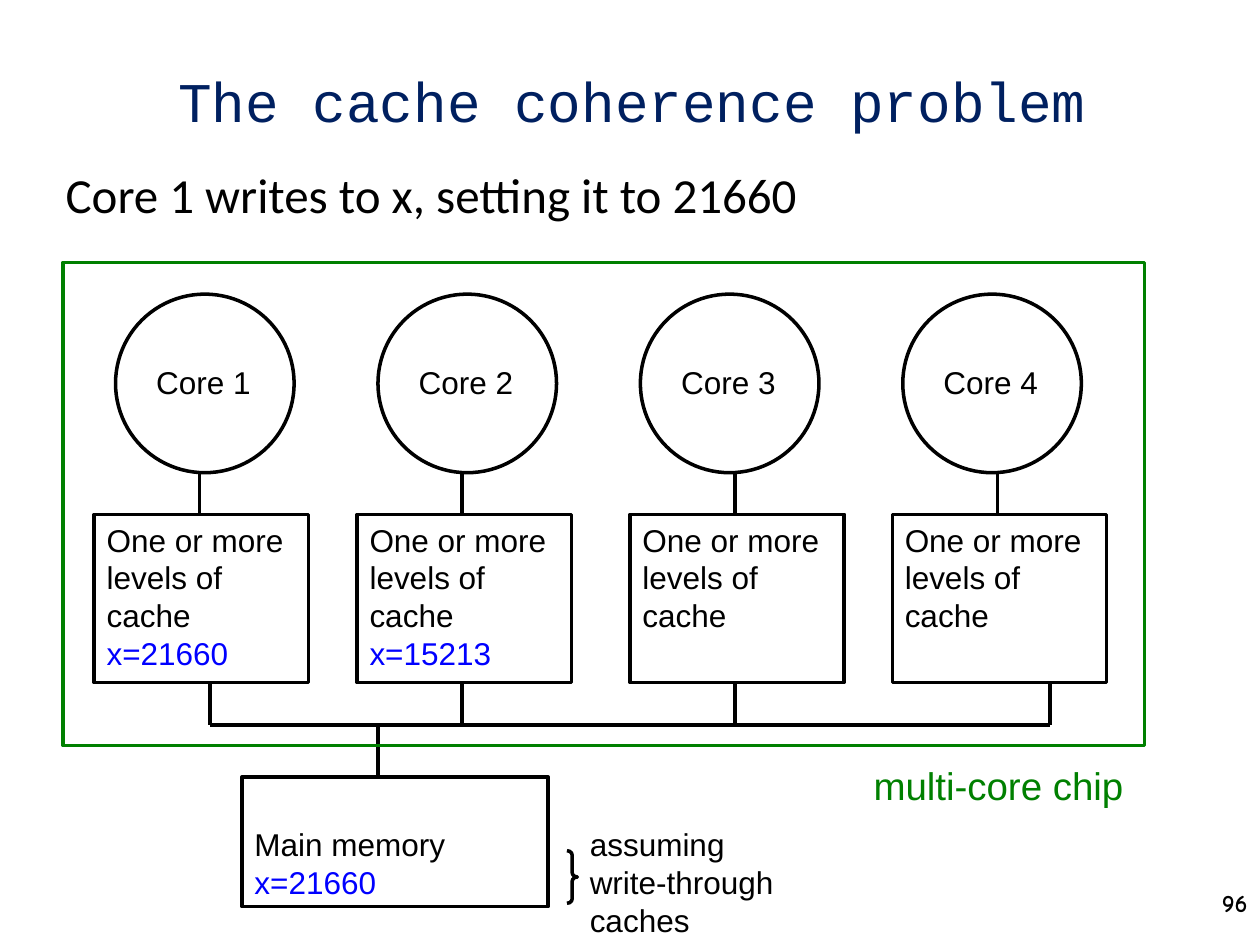
from lxml import etree
from pptx import Presentation
from pptx.dml.color import RGBColor
from pptx.enum.shapes import MSO_CONNECTOR, MSO_SHAPE
from pptx.enum.text import MSO_ANCHOR, PP_ALIGN
from pptx.oxml.ns import qn
from pptx.util import Cm, Pt

BLACK = RGBColor(0, 0, 0)
BLUE = RGBColor(0, 0, 255)
GREEN = RGBColor(0, 128, 0)
NAVY = RGBColor(0, 32, 96)
LEFT, CENTER, RIGHT = PP_ALIGN.LEFT, PP_ALIGN.CENTER, PP_ALIGN.RIGHT
TOP, MIDDLE, BOTTOM = MSO_ANCHOR.TOP, MSO_ANCHOR.MIDDLE, MSO_ANCHOR.BOTTOM
STRAIGHT = MSO_CONNECTOR.STRAIGHT
OVAL, RECTANGLE, BRACE = MSO_SHAPE.OVAL, MSO_SHAPE.RECTANGLE, MSO_SHAPE.RIGHT_BRACE


def write(shape, text, size=18, color=BLACK, font="Arial", align=LEFT,
          anchor=TOP, wrap=True):
    """Fill a shape with text; paragraphs that start with "x=" are blue."""
    frame = shape.text_frame
    frame.text = text
    frame.word_wrap = wrap
    frame.vertical_anchor = anchor
    for para in frame.paragraphs:
        para.alignment = align
        for span in para.runs:
            span.font.size = Pt(size)
            span.font.name = font
            span.font.color.rgb = BLUE if para.text.startswith("x=") else color


def add_outline(kind, left, top, width, height, color=BLACK):
    shape = slide.shapes.add_shape(kind, Cm(left), Cm(top), Cm(width), Cm(height))
    shape.shadow.inherit = False
    shape.fill.background()
    shape.line.color.rgb = color
    shape.line.width = Pt(2)
    return shape


deck = Presentation()
deck.slide_width, deck.slide_height = Cm(25.4), Cm(19.05)
slide = deck.slides.add_slide(deck.slide_layouts[1])

# Title and statement
title, body = slide.placeholders
title.left, title.top, title.width, title.height = Cm(1.32), Cm(0.43), Cm(22.86), Cm(3.18)
write(title, "The cache coherence problem", 32, NAVY, "Courier New", CENTER, MIDDLE)
body.left, body.top, body.width, body.height = Cm(1.07), Cm(3.18), Cm(22.86), Cm(12.57)
write(body, "Core 1 writes to x, setting it to 21660", 28, font="Calibri")
bullet_format = body.text_frame.paragraphs[0]._p.get_or_add_pPr()
bullet_format.set("marL", str(Cm(0.95)))
bullet_format.set("indent", str(Cm(-0.95)))
etree.SubElement(bullet_format, qn("a:buNone"))

# Cores, each above its cache
CORE_LEFT, CORE_PITCH, CORE_TOP, CORE_SIZE = 2.33, 5.29, 5.93, 3.6
CACHE_TOP, CACHE_WIDTH, CACHE_HEIGHT = 10.37, 4.32, 3.39
core_bottom = CORE_TOP + CORE_SIZE
cache_bottom = CACHE_TOP + CACHE_HEIGHT
BUS_TOP, MEMORY_TOP = 14.61, 15.66
cache_text = "One or more \vlevels of \vcache"
# cache left, line up to the core, line down to the bus, cached value
columns = [
    (1.9, 4.02, 4.23, "\nx=21660"),
    (7.2, 9.31, 9.31, "\nx=15213"),
    (12.7, 14.82, 14.82, ""),
    (17.99, 20.11, 21.17, ""),
]
lines = [
    (columns[0][2], BUS_TOP, columns[-1][2], BUS_TOP),
    (7.62, BUS_TOP, 7.62, MEMORY_TOP),
]
for index, (cache_left, core_x, bus_x, value) in enumerate(columns):
    core_left = CORE_LEFT + index * CORE_PITCH
    add_outline(OVAL, core_left, CORE_TOP, CORE_SIZE, CORE_SIZE)
    label = slide.shapes.add_textbox(Cm(core_left + 0.57), Cm(7.2), Cm(2.41), Cm(1.02))
    write(label, f"Core {index + 1}", wrap=False)
    cache = add_outline(RECTANGLE, cache_left, CACHE_TOP, CACHE_WIDTH, CACHE_HEIGHT)
    write(cache, cache_text + value)
    lines.append((core_x, core_bottom, core_x, CACHE_TOP))
    lines.append((bus_x, cache_bottom, bus_x, BUS_TOP))

memory = add_outline(RECTANGLE, 4.88, MEMORY_TOP, 6.17, 2.62)
write(memory, "Main memory\nx=21660", anchor=BOTTOM)

for ends in lines:
    line = slide.shapes.add_connector(STRAIGHT, *(Cm(end) for end in ends))
    line.line.color.rgb = BLACK
    line.line.width = Pt(2)
    etree.SubElement(line._element.spPr, qn("a:effectLst"))

# Chip boundary and notes around the memory
add_outline(RECTANGLE, 1.27, 5.29, 21.8, 9.74, GREEN)
chip_label = slide.shapes.add_textbox(Cm(17.36), Cm(15.24), Cm(5.56), Cm(1.19))
write(chip_label, "multi-core chip", 22, GREEN, wrap=False)
brace = add_outline(BRACE, 11.43, 17.15, 0.21, 1.06)
brace.adjustments[0] = 0.417
assumption = slide.shapes.add_textbox(Cm(11.64), Cm(16.51), Cm(4.39), Cm(2.54))
write(assumption, "assuming \vwrite-through \vcaches", wrap=False)

page_number = slide.shapes.add_textbox(Cm(20.12), Cm(17.78), Cm(5.28), Cm(1.27))
write(page_number, "96", 14, font="Comic Neue", align=RIGHT)
page_number.text_frame.paragraphs[0].runs[0].font.bold = True

deck.save("out.pptx")
